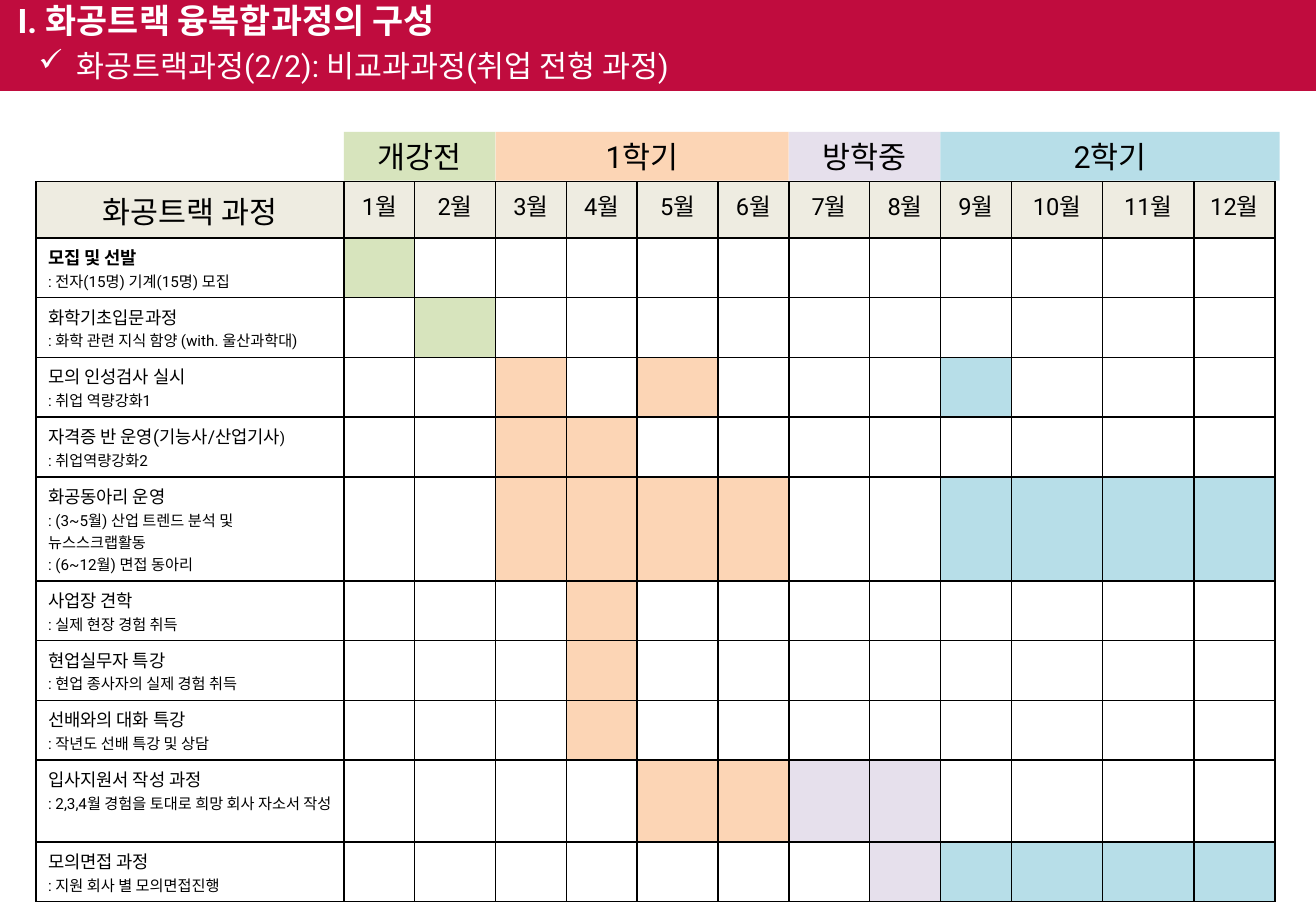
from dataclasses import dataclass

from lxml import etree
from pptx import Presentation
from pptx.dml.color import RGBColor
from pptx.enum.shapes import MSO_SHAPE
from pptx.enum.text import MSO_ANCHOR, PP_ALIGN
from pptx.oxml.ns import qn
from pptx.util import Cm, Pt

RECT = MSO_SHAPE.RECTANGLE
TOP, MIDDLE = MSO_ANCHOR.TOP, MSO_ANCHOR.MIDDLE
LEFT, CENTER = PP_ALIGN.LEFT, PP_ALIGN.CENTER


@dataclass(frozen=True)
class Theme:
    font: str = "Roboto"
    east_asian_font: str = "Noto Sans CJK KR"
    black: str = "000000"
    white: str = "FFFFFF"
    band: str = "C00C3E"
    header: str = "EEECE1"
    green: str = "D7E4BD"
    orange: str = "FCD5B5"
    lilac: str = "E6E0EC"
    blue: str = "B7DEE8"
    title: float = 20
    heading: float = 18
    month: float = 14
    course: float = 10.5
    detail: float = 9


THEME = Theme()

# Periods: name, first month, last month, colour
PERIODS = [
    ("개강전", 1, 2, THEME.green),
    ("1학기", 3, 6, THEME.orange),
    ("방학중", 7, 8, THEME.lilac),
    ("2학기", 9, 12, THEME.blue),
]
MONTH_COLORS = {m: color for _, first, last, color in PERIODS
                for m in range(first, last + 1)}


@dataclass(frozen=True)
class Course:
    title: str
    details: tuple
    months: tuple
    bold: bool = False
    small_tail: str = ""
    height: float = 1.19


COURSES = [
    Course("모집 및 선발", (": 전자(15명) 기계(15명) 모집",), (1,), bold=True),
    Course("화학기초입문과정", (": 화학 관련 지식 함양 (with. 울산과학대)",), (2,)),
    Course("모의 인성검사 실시", (": 취업 역량강화1",), (3, 5, 9)),
    Course("자격증 반 운영(기능사/산업기사", (": 취업역량강화2",), (3, 4),
           small_tail=")"),
    Course("화공동아리 운영",
           (": (3~5월) 산업 트렌드 분석 및 뉴스스크랩활동", ": (6~12월) 면접 동아리"),
           (3, 4, 5, 6, 9, 10, 11, 12), height=1.62),
    Course("사업장 견학", (": 실제 현장 경험 취득",), (4,)),
    Course("현업실무자 특강", (": 현업 종사자의 실제 경험 취득",), (4,)),
    Course("선배와의 대화 특강", (": 작년도 선배 특강 및 상담",), (4,)),
    Course("입사지원서 작성 과정",
           (": 2,3,4월 경험을 토대로 희망 회사 자소서 작성",), (5, 6, 7, 8)),
    Course("모의면접 과정", (": 지원 회사 별 모의면접진행",), (8, 9, 10, 11, 12)),
]

# Table geometry in centimetres
TABLE_LEFT, TABLE_TOP = 0.75, 3.8
HEADER_HEIGHT = 1.12
COL_WIDTHS = [6.44, 1.48, 1.69, 1.48, 1.48, 1.69, 1.48,
              1.69, 1.48, 1.48, 1.91, 1.91, 1.69]


def add_run(p, text, size, color=THEME.black, bold=False):
    r = p.add_run()
    r.text = text
    r.font.size = Pt(size)
    r.font.bold = bold
    r.font.name = THEME.font
    r.font.color.rgb = RGBColor.from_string(color)
    ea = etree.SubElement(r.font._element, qn("a:ea"))
    ea.set("typeface", THEME.east_asian_font)


def add_block(s, left, top, width, height, fill):
    sp = s.shapes.add_shape(RECT, Cm(left), Cm(top), Cm(width), Cm(height))
    sp.shadow.inherit = False
    sp.fill.solid()
    sp.fill.fore_color.rgb = RGBColor.from_string(fill)
    sp.line.fill.background()
    return sp


def add_title_band(s):
    sp = add_block(s, 0, 0, 27.51, 1.9, THEME.band)
    tf = sp.text_frame
    tf.vertical_anchor = TOP
    tf.margin_left = Cm(0.37)
    tf.margin_top = tf.margin_right = tf.margin_bottom = 0
    p = tf.paragraphs[0]
    p.alignment = LEFT
    add_run(p, "I. 화공트랙 융복합과정의 구성", THEME.title, THEME.white, True)


def add_subtitle(s):
    sp = s.shapes.add_textbox(Cm(0.56), Cm(0.86), Cm(15.5), Cm(1.02))
    tf = sp.text_frame
    tf.word_wrap = True
    tf.vertical_anchor = MIDDLE
    p = tf.paragraphs[0]
    pPr = p._p.get_or_add_pPr()
    pPr.set("marL", str(Cm(0.79)))
    pPr.set("indent", str(-Cm(0.79)))
    etree.SubElement(pPr, qn("a:buChar")).set("char", "✓")
    add_run(p, "화공트랙과정(2/2): 비교과과정(취업 전형 과정)",
            THEME.heading, THEME.white)


def add_period_label(s, name, first, last, color):
    left = TABLE_LEFT + sum(COL_WIDTHS[:first])
    width = sum(COL_WIDTHS[first:last + 1])
    if last == 12:
        width += 0.1
    sp = add_block(s, left, 2.76, width, 1.02, color)
    tf = sp.text_frame
    tf.vertical_anchor = MIDDLE
    p = tf.paragraphs[0]
    p.alignment = CENTER
    add_run(p, name, THEME.heading)


def style_cell(cell, fill=None):
    if fill:
        cell.fill.solid()
        cell.fill.fore_color.rgb = RGBColor.from_string(fill)
    else:
        cell.fill.background()
    tcPr = cell._tc.get_or_add_tcPr()
    for i, side in enumerate(("lnL", "lnR", "lnT", "lnB")):
        ln = etree.Element(qn(f"a:{side}"), w=str(Pt(1)))
        solid = etree.SubElement(ln, qn("a:solidFill"))
        etree.SubElement(solid, qn("a:srgbClr")).set("val", THEME.black)
        tcPr.insert(i, ln)


def fill_header(table):
    labels = ["화공트랙 과정"] + [f"{m}월" for m in range(1, 13)]
    for col, label in enumerate(labels):
        cell = table.cell(0, col)
        style_cell(cell, THEME.header)
        p = cell.text_frame.paragraphs[0]
        p.alignment = CENTER
        add_run(p, label, THEME.month if col else THEME.heading)


def fill_course(table, row, course):
    cell = table.cell(row, 0)
    style_cell(cell)
    tf = cell.text_frame
    p = tf.paragraphs[0]
    add_run(p, course.title, THEME.course, bold=course.bold)
    if course.small_tail:
        add_run(p, course.small_tail, THEME.detail)
    for detail in course.details:
        add_run(tf.add_paragraph(), detail, THEME.detail)
    for month, color in MONTH_COLORS.items():
        style_cell(table.cell(row, month),
                   color if month in course.months else None)


def add_schedule(s):
    heights = [HEADER_HEIGHT] + [course.height for course in COURSES]
    table = s.shapes.add_table(
        len(heights), len(COL_WIDTHS), Cm(TABLE_LEFT), Cm(TABLE_TOP),
        Cm(sum(COL_WIDTHS)), Cm(sum(heights))).table
    table.first_row = table.horz_banding = False
    for column, width in zip(table.columns, COL_WIDTHS):
        column.width = Cm(width)
    for row, height in zip(table.rows, heights):
        row.height = Cm(height)
    fill_header(table)
    for row, course in enumerate(COURSES, start=1):
        fill_course(table, row, course)


def main():
    prs = Presentation()
    prs.slide_width, prs.slide_height = Cm(27.51), Cm(19.05)
    s = prs.slides.add_slide(prs.slide_layouts[6])
    # Yearly schedule under its period labels
    add_schedule(s)
    for period in PERIODS:
        add_period_label(s, *period)
    # Heading
    add_title_band(s)
    add_subtitle(s)
    prs.save("out.pptx")


if __name__ == "__main__":
    main()
